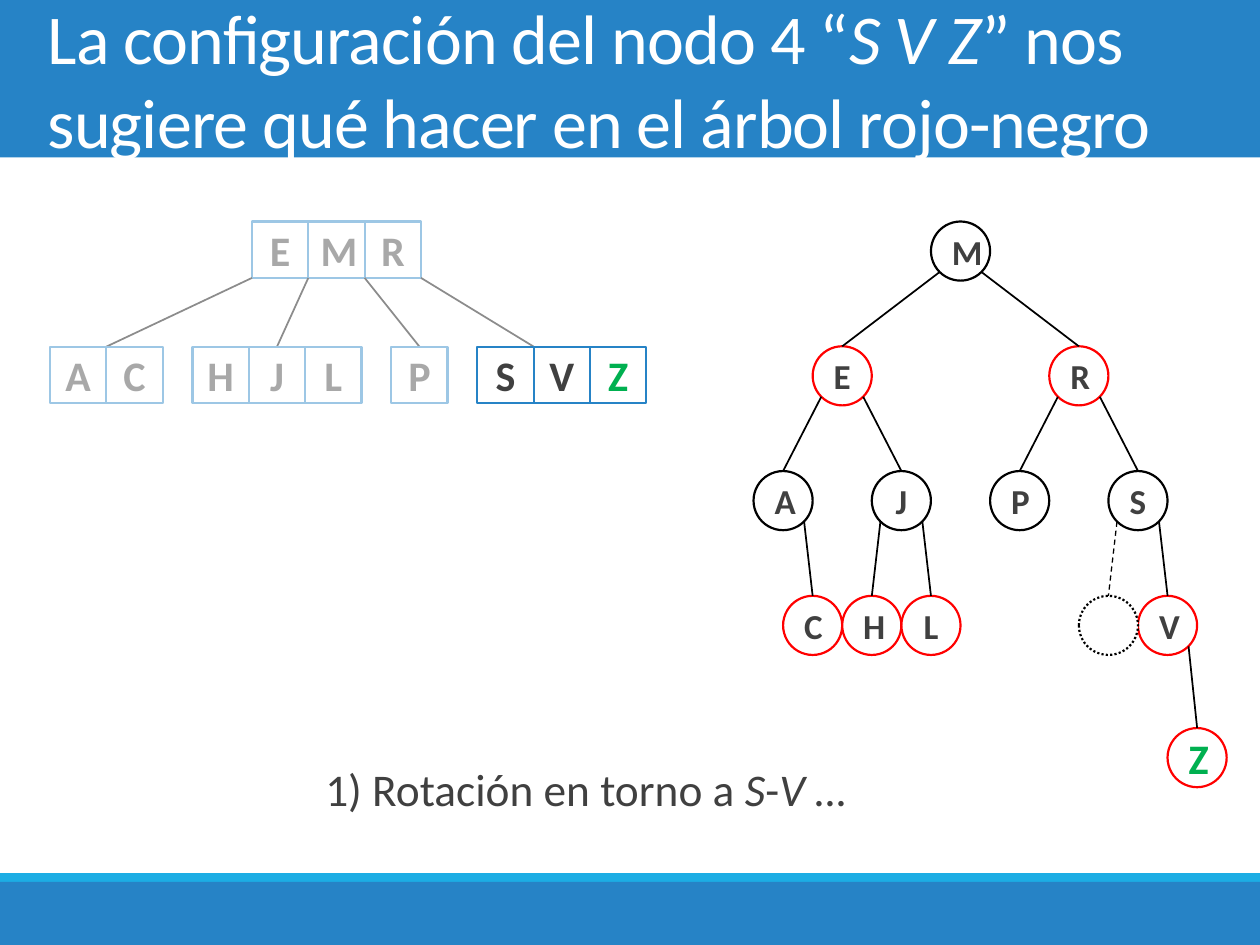
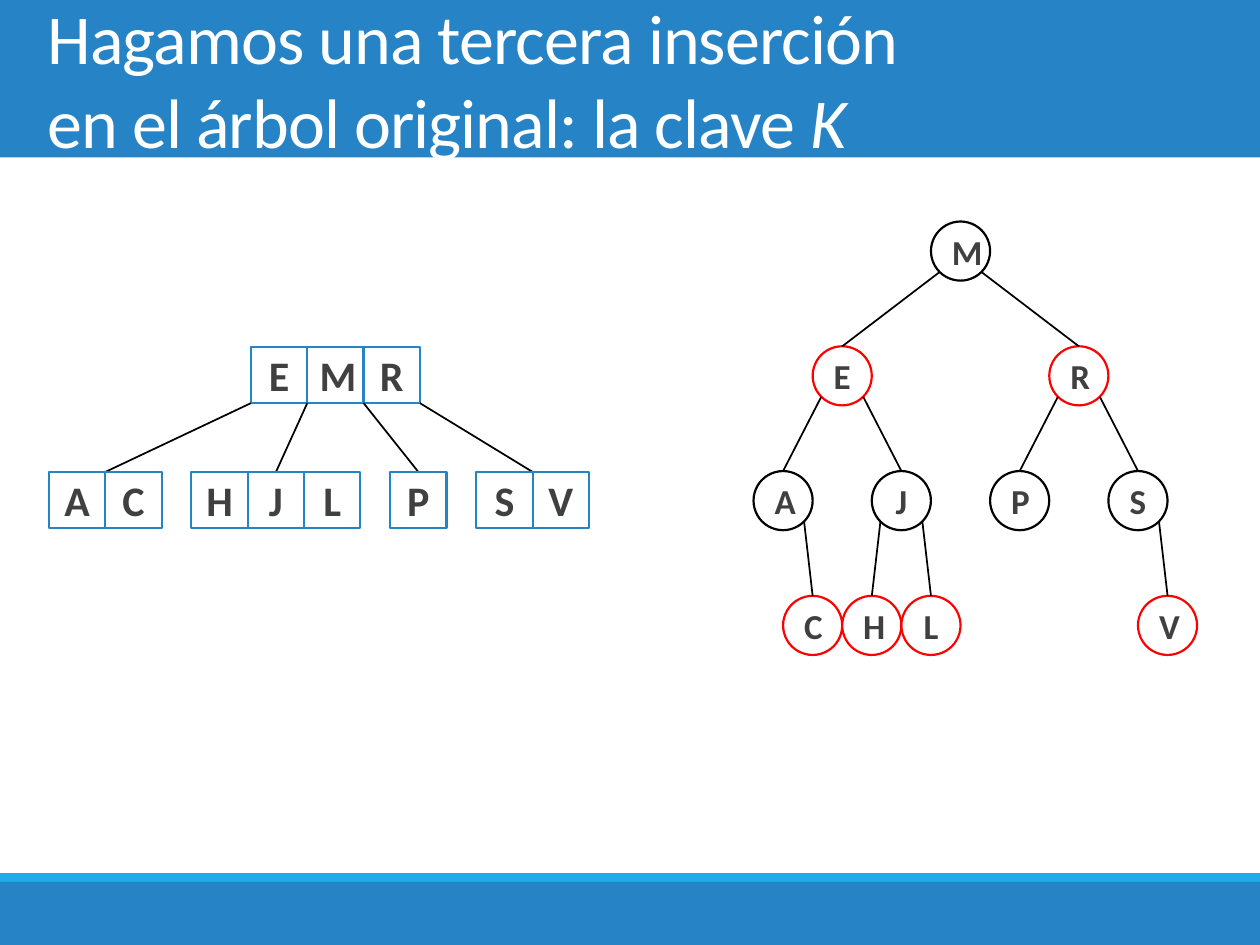
"""Build two slides that pair a 2-4 tree with its red-black tree."""
from lxml import etree
from pptx import Presentation
from pptx import util as u
from pptx.dml.color import RGBColor
from pptx.enum import dml, shapes, text
from pptx.oxml.ns import qn

Pt = u.Pt
FONT = "Calibri"
BLUE, CYAN, WHITE, BLACK = "2683C6", "1CADE4", "FFFFFF", "000000"
GRAY, RED, GREEN = "404040", "FF0000", "00B050"
RECT, OVAL = shapes.MSO_SHAPE.RECTANGLE, shapes.MSO_SHAPE.OVAL

CELL, LEAF_GAP, LEVEL = 32.2, 17, 71.5
ROOT_KEYS, ROOT_SHIFT = "EMR", 115.4
LEAVES = ["AC", "HJL", "P", "SV"]

NODE, NODE_LEFT, NODE_TOP, NODE_ROW = 33.8, 430.6, 126.6, 71.3
NODES = {
    "M": (6, 0), "E": (2, 1), "R": (10, 1),
    "A": (0, 2), "J": (4, 2), "P": (8, 2), "S": (12, 2),
    "C": (1, 3), "H": (3, 3), "L": (5, 3), "V": (13, 3),
}
RED_KEYS = list("ERCHLVZ")
EDGES = ["ME", "MR", "EA", "EJ", "RP", "RS", "AC", "JH", "JL", "SV"]


def color(value):
    """Turn a hex string into a colour."""
    return RGBColor.from_string(value)


class Painter:
    """Hold the deck style and draw on the current slide."""

    def __init__(self, deck):
        """Keep the deck and its title-only layout."""
        self.deck = deck
        self.layout = deck.slide_layouts[5]
        self.page = None

    def format_runs(self, para, size, ink, bold=False):
        """Give every run of a paragraph the same font."""
        for span in para.runs:
            span.font.name = FONT
            span.font.size = Pt(size)
            span.font.bold = bold
            span.font.color.rgb = color(ink)

    def fill_para(self, para, pieces, size, ink):
        """Set pieces that alternate between upright and italic."""
        para.text = pieces[0]
        for index, piece in enumerate(pieces[1:], 1):
            span = para.add_run()
            span.text = piece
            span.font.italic = index % 2 == 1
        self.format_runs(para, size, ink)

    def start(self, *pieces):
        """Add a slide and set its title."""
        self.page = self.deck.slides.add_slide(self.layout)
        title = self.page.shapes.title
        title.left, title.top, title.width, title.height = Pt(20), Pt(0), Pt(680.5), Pt(90)
        frame = title.text_frame
        frame.word_wrap = True
        frame.auto_size = text.MSO_AUTO_SIZE.NONE
        frame.vertical_anchor = text.MSO_ANCHOR.MIDDLE
        para = frame.paragraphs[0]
        para.alignment = text.PP_ALIGN.LEFT
        self.fill_para(para, pieces, 40, WHITE)
        for properties in title.element.iter(qn("a:rPr")):
            properties.set("spc", "-50")

    def bands(self):
        """Place the shared bands on the layout."""
        tree = self.layout.shapes.element
        for top, height, fill in [(0, 90, BLUE), (504, 36, BLUE), (499, 5, CYAN)]:
            band = self.shape(RECT, 0, top, 720, height, fill=fill)
            tree.insert(2, band.element)

    def shape(self, kind, left, top, width, height, fill=WHITE, line=None,
              label="", size=24, ink=GRAY):
        """Draw a preset shape with an optional bold label."""
        box = self.page.shapes.add_shape(kind, Pt(left), Pt(top), Pt(width), Pt(height))
        box.shadow.inherit = False
        box.fill.solid()
        box.fill.fore_color.rgb = color(fill)
        if line:
            box.line.color.rgb = color(line)
            box.line.width = Pt(1.25)
        else:
            box.line.fill.background()
        if label:
            para = box.text_frame.paragraphs[0]
            para.text = label
            para.alignment = text.PP_ALIGN.CENTER
            self.format_runs(para, size, ink, bold=True)
        return box

    def connector(self, start, end, width=1.0):
        """Draw a straight black line between two points."""
        line = self.page.shapes.add_connector(
            shapes.MSO_CONNECTOR.STRAIGHT, *(Pt(value) for value in (*start, *end)))
        line.line.color.rgb = color(BLACK)
        line.line.width = Pt(width)
        etree.SubElement(line.element.spPr, qn("a:effectLst"))
        return line

    def veil(self, left, top, width, height):
        """Fade an area with translucent white."""
        box = self.shape(RECT, left, top, width, height)
        tint = box.element.spPr.find(f".//{qn('a:srgbClr')}")
        etree.SubElement(tint, qn("a:alpha")).set("val", "55000")

    def caption(self, left, top, width, height, *pieces):
        """Add a centred line of text."""
        box = self.page.shapes.add_textbox(Pt(left), Pt(top), Pt(width), Pt(height))
        box.text_frame.word_wrap = True
        para = box.text_frame.paragraphs[0]
        para.alignment = text.PP_ALIGN.CENTER
        para.line_spacing = 1.3
        para.space_before, para.space_after = Pt(12), Pt(2)
        self.fill_para(para, pieces, 25.9, GRAY)
        box.element.find(f".//{qn('a:pPr')}").set("marL", str(Pt(7.2)))

    def cells(self, keys, left, top, new_key=""):
        """Draw a row of adjoining key cells."""
        return [self.shape(RECT, left + CELL * index, top, CELL, CELL, line=BLUE, label=key,
                           ink=GREEN if key == new_key else GRAY)
                for index, key in enumerate(keys)]

    def multiway_tree(self, left, top, new_key=""):
        """Draw the 2-4 tree, highlighting the last leaf when it gains a key."""
        root_left, leaf_top = left + ROOT_SHIFT, top + LEVEL
        self.cells(ROOT_KEYS, root_left, top)
        for index, keys in enumerate(LEAVES):
            width = CELL * len(keys)
            edge = self.connector((root_left + CELL * index, top + CELL),
                                  (left + width / 2, leaf_top))
            added = new_key if keys == LEAVES[-1] else ""
            if added:
                self.veil(18, 102, 374, 261)
            row = self.cells(keys + added, left, leaf_top, added)
            if len(keys) % 2:
                edge.end_connect(row[len(keys) // 2], 0)
            left += width + LEAF_GAP

    def node(self, key, column, row, line=None, **label_style):
        """Draw a red-black node on the half-node grid."""
        line = line or (RED if key in RED_KEYS else BLACK)
        return self.shape(OVAL, NODE_LEFT + column * NODE / 2, NODE_TOP + row * NODE_ROW,
                          NODE, NODE, line=line, label=key, **label_style)

    def branch(self, parent, child, width=1.0):
        """Join a parent's lower diagonal to the top of its child."""
        reach = NODE / 2 * 0.71
        side = 1 if child.left > parent.left else -1
        start = (parent.left.pt + NODE / 2 + side * reach, parent.top.pt + NODE / 2 + reach)
        edge = self.connector(start, (child.left.pt + NODE / 2, child.top.pt), width)
        edge.end_connect(child, 0)
        return edge

    def red_black_tree(self):
        """Draw the shared red-black tree and return its nodes."""
        nodes = {key: self.node(key, *place, size=20) for key, place in NODES.items()}
        for parent, child in EDGES:
            self.branch(nodes[parent], nodes[child])
        return nodes


def main():
    """Build and save the deck."""
    deck = Presentation()
    deck.slide_width, deck.slide_height = Pt(720), Pt(540)
    painter = Painter(deck)

    painter.start("La configuración del nodo 4 “", "S V Z",
                  "” nos sugiere qué hacer en el árbol rojo-negro")
    painter.bands()
    painter.multiway_tree(28.6, 126.6, new_key="Z")
    nodes = painter.red_black_tree()
    inserted = painter.node("Z", 14, 4.06, ink=GREEN)
    painter.branch(nodes["V"], inserted)
    vacant = painter.node("", 11, 3)
    vacant.line.dash_style = dml.MSO_LINE.ROUND_DOT
    missing = painter.branch(nodes["S"], vacant, 0.75)
    missing.line.dash_style = dml.MSO_LINE.DASH
    painter.caption(153.4, 422, 355.7, 46, "1) Rotación en torno a ", "S", "-", "V …")

    painter.start("Hagamos una tercera inserción\ven el árbol original: la clave ", "K")
    painter.multiway_tree(28, 198.2)
    painter.red_black_tree()

    deck.save("out.pptx")


if __name__ == "__main__":
    main()
